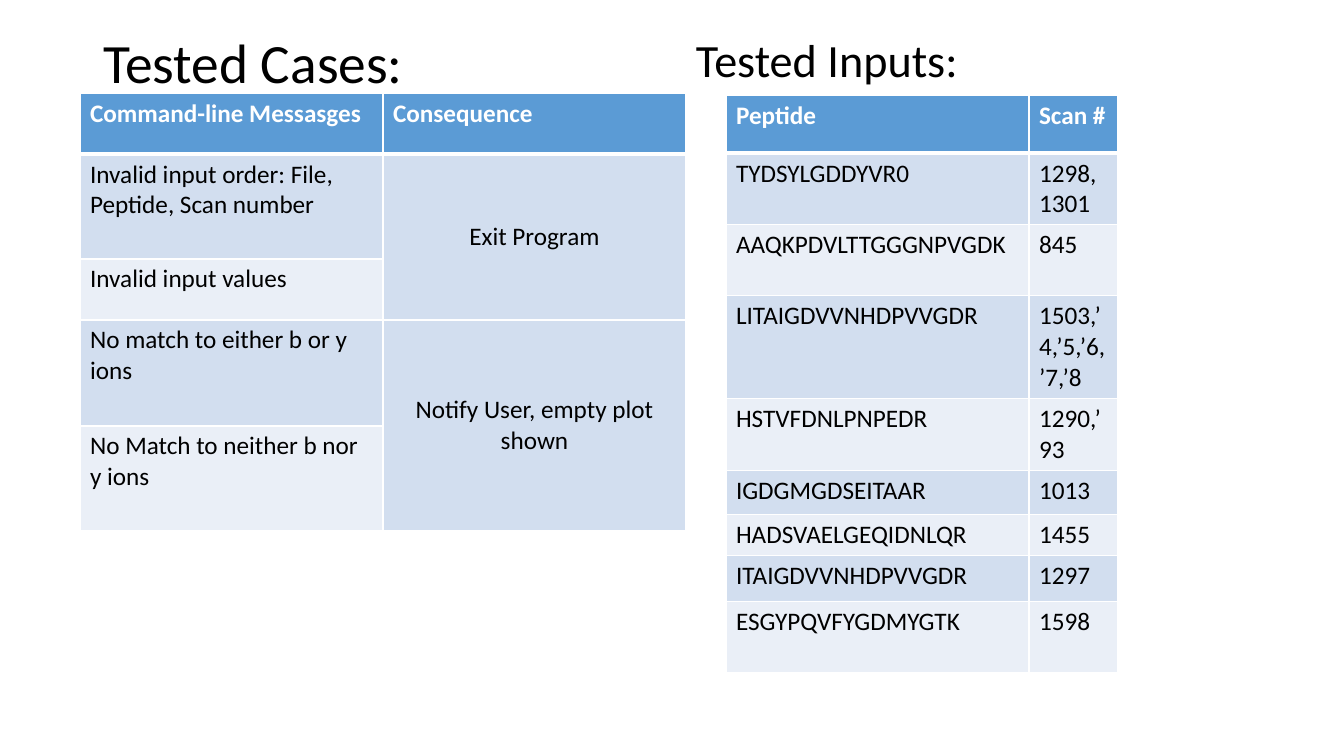
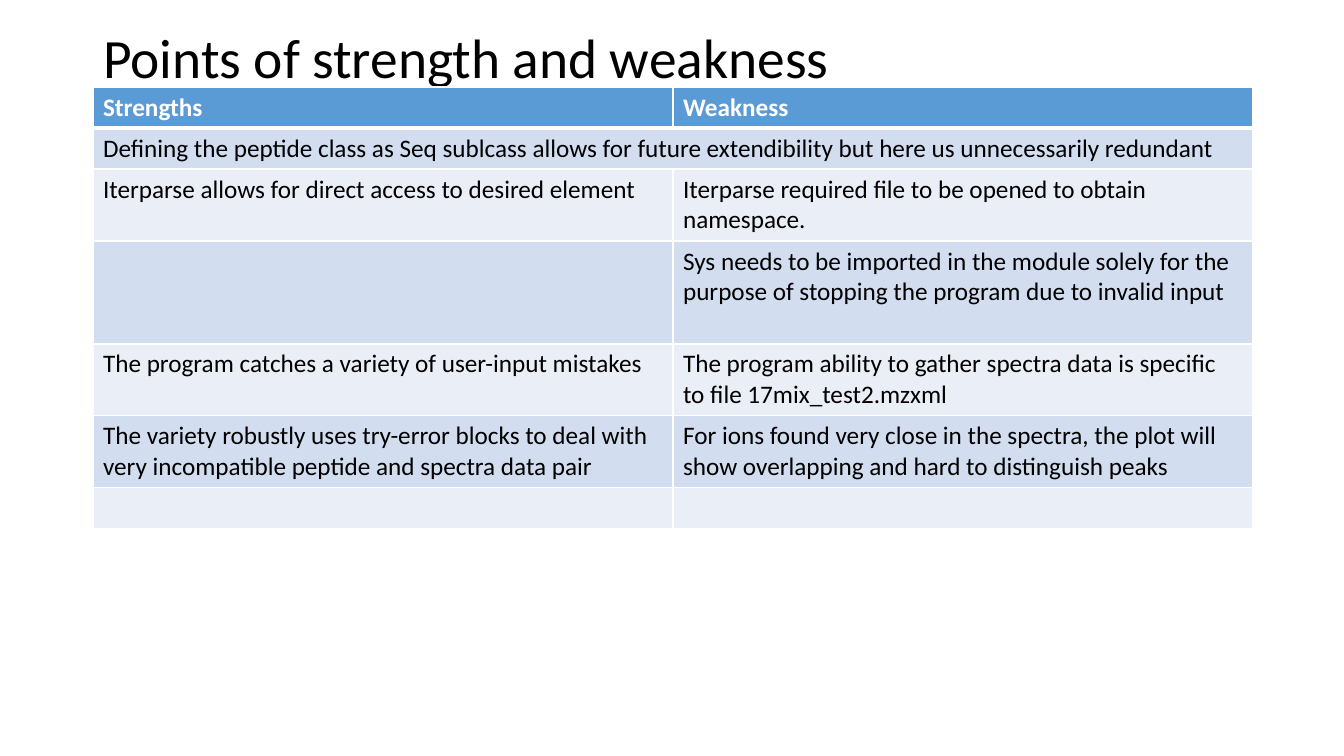
from dataclasses import dataclass

from lxml import etree
from pptx import Presentation
from pptx.dml.color import RGBColor
from pptx.enum import text
from pptx.oxml import ns
from pptx.util import Emu, Pt

EMU_PER_PIXEL = 914400 / 100.8
FONT = "Calibri"
BLACK = RGBColor(0x00, 0x00, 0x00)
WHITE = RGBColor(0xFF, 0xFF, 0xFF)
HEADER_BLUE = RGBColor(0x5B, 0x9B, 0xD5)
BAND_DARK = RGBColor(0xD2, 0xDE, 0xEF)
BAND_LIGHT = RGBColor(0xEA, 0xEF, 0xF7)
THIN, THICK = 1, 3


@dataclass(frozen=True)
class Box:
    left: int
    top: int
    width: int
    height: int


@dataclass(frozen=True)
class Heading:
    words: str
    box: Box
    size: float = 39.6


@dataclass(frozen=True)
class Merge:
    first: tuple[int, int]
    last: tuple[int, int]
    centred: bool = False


@dataclass(frozen=True)
class Grid:
    left: int
    top: int
    columns: list[int]
    heights: list[int]
    rows: list[tuple[str, str]]
    merges: tuple[Merge, ...] = ()


def pixels(count: int) -> Emu:
    return Emu(round(count * EMU_PER_PIXEL))


def add_run(paragraph, words: str, size: float, color: RGBColor, bold: bool = False) -> None:
    run = paragraph.add_run()
    run.text = words
    run.font.name = FONT
    run.font.size = Pt(size)
    run.font.bold = bold
    run.font.color.rgb = color


def write_heading(shape, heading: Heading) -> None:
    box = heading.box
    shape.left, shape.top = pixels(box.left), pixels(box.top)
    shape.width, shape.height = pixels(box.width), pixels(box.height)
    frame = shape.text_frame
    frame.word_wrap = True
    frame.auto_size = text.MSO_AUTO_SIZE.NONE
    frame.vertical_anchor = text.MSO_ANCHOR.MIDDLE
    paragraph = frame.paragraphs[0]
    paragraph.alignment = text.PP_ALIGN.LEFT
    paragraph.line_spacing = 0.9
    add_run(paragraph, heading.words, heading.size, BLACK)


def add_titled_slide(presentation, heading: Heading):
    slide = presentation.slides.add_slide(presentation.slide_layouts[5])
    write_heading(slide.shapes.title, heading)
    return slide


def add_subheading(slide, heading: Heading) -> None:
    write_heading(slide.shapes.add_textbox(0, 0, 0, 0), heading)


def set_borders(cell, row: int) -> None:
    properties = cell._tc.get_or_add_tcPr()
    widths = {
        "lnL": THIN,
        "lnR": THIN,
        "lnT": THICK if row == 1 else THIN,
        "lnB": THICK if row == 0 else THIN,
    }
    for side, width in widths.items():
        line = etree.SubElement(properties, ns.qn(f"a:{side}"), w=str(Pt(width)))
        fill = etree.SubElement(line, ns.qn("a:solidFill"))
        etree.SubElement(fill, ns.qn("a:srgbClr"), val=str(WHITE))


def row_fill(row: int) -> RGBColor:
    if row == 0:
        return HEADER_BLUE
    return BAND_DARK if row % 2 else BAND_LIGHT


def format_cell(cell, words: str, row: int) -> None:
    set_borders(cell, row)
    cell.fill.solid()
    cell.fill.fore_color.rgb = row_fill(row)
    if words:
        is_header = row == 0
        color = WHITE if is_header else BLACK
        add_run(cell.text_frame.paragraphs[0], words, 18, color, is_header)


def add_grid(slide, grid: Grid) -> None:
    table = slide.shapes.add_table(
        len(grid.rows), len(grid.columns), pixels(grid.left), pixels(grid.top),
        pixels(sum(grid.columns)), pixels(sum(grid.heights)),
    ).table
    for column, width in zip(table.columns, grid.columns):
        column.width = pixels(width)
    for row, height in zip(table.rows, grid.heights):
        row.height = pixels(height)
    for row, entries in enumerate(grid.rows):
        for column, words in enumerate(entries):
            format_cell(table.cell(row, column), words, row)
    for merge in grid.merges:
        cell = table.cell(*merge.first)
        cell.merge(table.cell(*merge.last))
        if merge.centred:
            cell.vertical_anchor = text.MSO_ANCHOR.MIDDLE
            cell.text_frame.paragraphs[0].alignment = text.PP_ALIGN.CENTER


CASES = Grid(
    80, 93, [303, 303], [61, 105, 61, 106, 105],
    [
        ("Command-line Messasges", "Consequence"),
        ("Invalid input order: File, Peptide, Scan number", "Exit Program"),
        ("Invalid input values", ""),
        ("No match to either b or y ions", "Notify User, empty plot shown"),
        ("No Match to neither b nor y ions", ""),
    ],
    (Merge((1, 1), (2, 1), True), Merge((3, 1), (4, 1), True)),
)

INPUTS = Grid(
    726, 95, [303, 89], [58, 71, 71, 103, 72, 44, 40, 46, 71],
    [
        ("Peptide", "Scan #"),
        ("TYDSYLGDDYVR0", "1298, 1301"),
        ("AAQKPDVLTTGGGNPVGDK", "845"),
        ("LITAIGDVVNHDPVVGDR", "1503,’4,’5,’6,’7,’8"),
        ("HSTVFDNLPNPEDR", "1290,’93"),
        ("IGDGMGDSEITAAR", "1013"),
        ("HADSVAELGEQIDNLQR", "1455"),
        ("ITAIGDVVNHDPVVGDR", "1297"),
        ("ESGYPQVFYGDMYGTK", "1598"),
    ],
)

POINTS = Grid(
    93, 87, [580, 580], [41, 41, 72, 103, 71, 72, 40],
    [
        ("Strengths", "Weakness"),
        ("Defining the peptide class as Seq sublcass allows for future extendibility "
         "but here us unnecessarily redundant", ""),
        ("Iterparse allows for direct access to desired element",
         "Iterparse required file to be opened to obtain namespace."),
        ("", "Sys needs to be imported in the module solely for the purpose of "
         "stopping the program due to invalid input"),
        ("The program catches a variety of user-input mistakes",
         "The program ability to gather spectra data is specific to file 17mix_test2.mzxml"),
        ("The variety robustly uses try-error blocks to deal with very incompatible "
         "peptide and spectra data pair",
         "For ions found very close in the spectra, the plot will show overlapping "
         "and hard to distinguish peaks"),
        ("", ""),
    ],
    (Merge((1, 0), (1, 1)),),
)


def main() -> None:
    presentation = Presentation()
    presentation.slide_width = pixels(1344)
    presentation.slide_height = pixels(756)

    tests = add_titled_slide(presentation, Heading("Tested Cases:", Box(93, 40, 507, 52)))
    add_grid(tests, CASES)
    add_subheading(tests, Heading("Tested Inputs:", Box(686, 37, 507, 52), 33))
    add_grid(tests, INPUTS)

    review = add_titled_slide(
        presentation, Heading("Points of strength and weakness", Box(93, 36, 852, 50))
    )
    add_grid(review, POINTS)

    presentation.save("out.pptx")


main()
